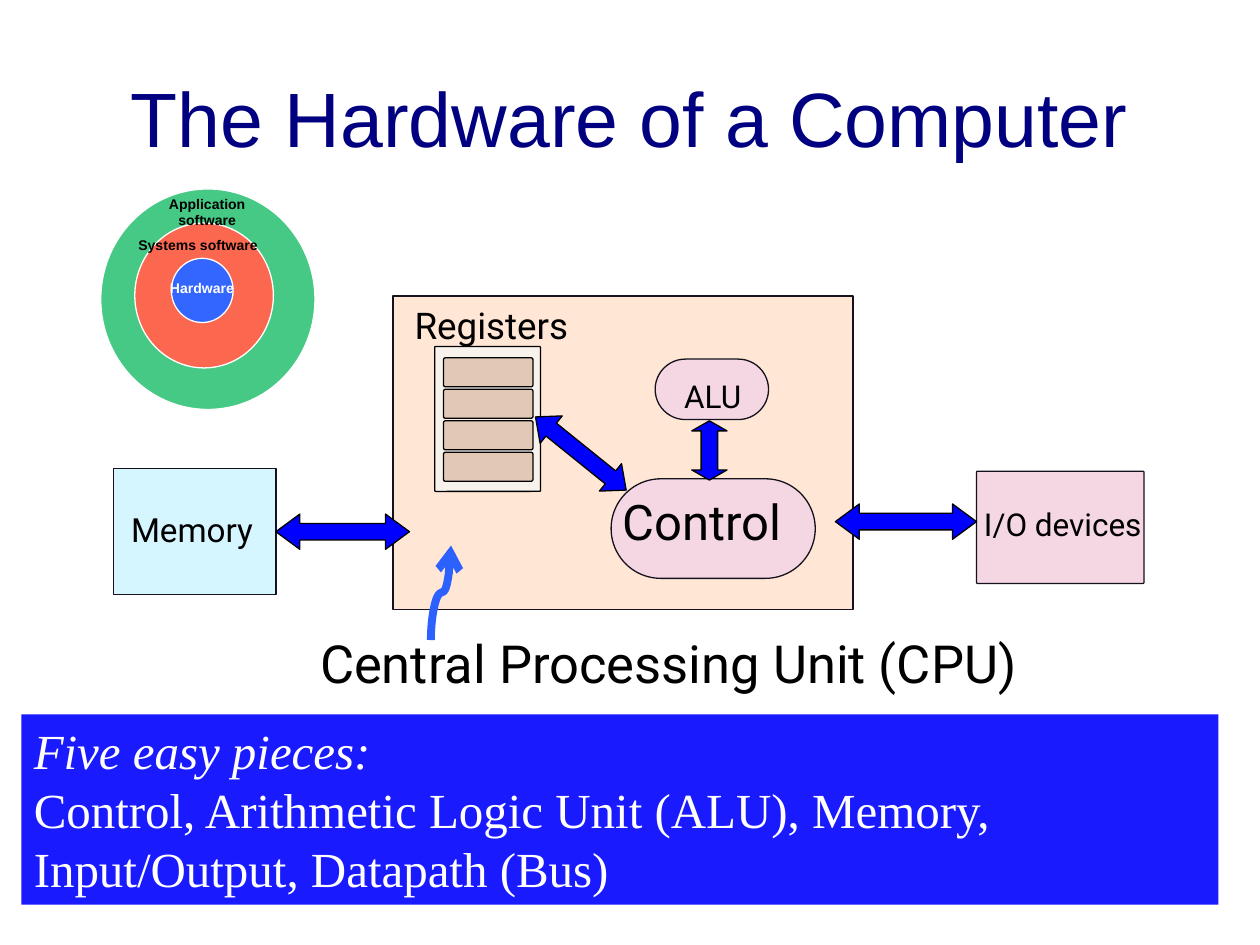
"""Build a slide showing the hardware of a computer as a block diagram."""
import math
from dataclasses import dataclass

from lxml import etree
from pptx import Presentation, util as u
from pptx.dml.color import RGBColor
from pptx.enum import shapes, text
from pptx.oxml import ns

SHAPE = shapes.MSO_SHAPE


@dataclass(frozen=True)
class Theme:
    """Colours, fonts and type sizes of the slide."""
    black: str = "000000"
    white: str = "FFFFFF"
    navy: str = "000080"
    outline: str = "15111D"
    cpu: str = "FFE6D5"
    unit: str = "F4D7E3"
    memory: str = "D5F6FF"
    bank: str = "F8F2ED"
    register: str = "E2C9B5"
    bus: str = "0000FF"
    application: str = "45C984"
    system: str = "FB684F"
    hardware: str = "3366FF"
    banner: str = "1A1AFF"
    pointer: str = "2D61FE"
    sans: str = "Arial"
    label: str = "Roboto"
    serif: str = "Times New Roman"
    title_size: int = 44
    cpu_size: int = 30
    large: int = 28
    registers_size: int = 21
    memory_size: int = 19
    medium: int = 18
    ring_size: int = 8


class Diagram:
    """Draws styled elements on the current slide."""

    def __init__(self, s, theme):
        """Keep the slide and the theme."""
        self.s = s
        self.theme = theme

    def font(self, p, size, name, color, bold=False, italic=False):
        """Format every run of a paragraph."""
        for r in p.runs:
            r.font.size = u.Pt(size)
            r.font.name = name
            r.font.color.rgb = RGBColor.from_string(color)
            r.font.bold = bold
            r.font.italic = italic

    def shape(self, kind, box, fill, line=None, width=0, radius=None):
        """Add a filled preset shape."""
        sp = self.s.shapes.add_shape(kind, *map(u.Inches, box))
        sp.shadow.inherit = False
        sp.fill.solid()
        sp.fill.fore_color.rgb = RGBColor.from_string(fill)
        if line:
            sp.line.color.rgb = RGBColor.from_string(line)
            sp.line.width = u.Pt(width)
        else:
            sp.line.fill.background()
        if radius is not None:
            sp.adjustments[0] = radius
        return sp

    def text(self, box, words, size, name, color, bold=False, inset=True,
             wrap=True, centre=False, middle=False):
        """Add a one-paragraph text box."""
        sp = self.s.shapes.add_textbox(*map(u.Inches, box))
        tf = sp.text_frame
        tf.word_wrap = wrap
        if not inset:
            tf.margin_left = tf.margin_right = tf.margin_top = tf.margin_bottom = 0
        if middle:
            tf.vertical_anchor = text.MSO_ANCHOR.MIDDLE
        tf.text = words
        p = tf.paragraphs[0]
        p.alignment = text.PP_ALIGN.CENTER if centre else text.PP_ALIGN.LEFT
        self.font(p, size, name, color, bold)

    def label(self, box, words, size, wrap=False):
        """Add a diagram label without insets."""
        t = self.theme
        self.text(box, words, size, t.label, t.black, inset=False, wrap=wrap)

    def bus(self, x1, y1, x2, y2, head=0.19):
        """Add a double-headed block arrow between two points."""
        length, thick = math.hypot(x2 - x1, y2 - y1), 0.28
        box = ((x1 + x2 - length) / 2, (y1 + y2 - thick) / 2, length, thick)
        sp = self.shape(SHAPE.LEFT_RIGHT_ARROW, box, self.theme.bus, self.theme.black)
        sp.adjustments[0] = 0.47
        sp.adjustments[1] = head / thick
        sp.rotation = math.degrees(math.atan2(y2 - y1, x2 - x1))

    def pointer(self, x1, y1, x2, y2):
        """Add a curved arrow that leaves and arrives vertically."""
        cx, cy = (x1 + x2) / 2, (y1 + y2) / 2
        dx, dy = (y1 - y2) / 2, (x2 - x1) / 2
        ends = (cx + dx, cy + dy, cx - dx, cy - dy)
        c = self.s.shapes.add_connector(shapes.MSO_CONNECTOR.CURVE, *map(u.Inches, ends))
        c.line.color.rgb = RGBColor.from_string(self.theme.pointer)
        c.line.width = u.Pt(4.5)
        pr = c._element.spPr
        pr.find(ns.qn("a:xfrm")).set("rot", str(90 * 60000))
        etree.SubElement(pr.find(ns.qn("a:ln")), ns.qn("a:tailEnd"), type="arrow")
        etree.SubElement(pr, ns.qn("a:effectLst"))

    def banner(self, box, heading, body):
        """Add the filled summary with an italic heading."""
        t = self.theme
        tf = self.shape(SHAPE.RECTANGLE, box, t.banner).text_frame
        tf.word_wrap = True
        tf.vertical_anchor = text.MSO_ANCHOR.TOP
        tf.text = heading
        tf.add_paragraph().text = body
        for p, italic in zip(tf.paragraphs, (True, False)):
            p.alignment = text.PP_ALIGN.LEFT
            self.font(p, t.large, t.serif, t.white, italic=italic)


def main():
    """Build and save the slide."""
    prs = Presentation()
    prs.slide_width, prs.slide_height = u.Inches(10), u.Inches(7.5)
    t = Theme()
    d = Diagram(prs.slides.add_slide(prs.slide_layouts[6]), t)

    d.text((0.5, 0.3, 9, 1.25), "The Hardware of a Computer", t.title_size,
           t.sans, t.navy, centre=True, middle=True)
    d.label((2.54, 5.01, 5.88, 0.51), "Central Processing Unit (CPU)", t.cpu_size, wrap=True)

    blocks = (
        (SHAPE.RECTANGLE, (3.12, 2.35, 3.65, 2.49), t.cpu, None),
        (SHAPE.ROUNDED_RECTANGLE, (4.85, 3.8, 1.62, 0.79), t.unit, 0.5),
        (SHAPE.ROUNDED_RECTANGLE, (7.75, 3.74, 1.33, 0.89), t.unit, 0.01),
        (SHAPE.RECTANGLE, (0.9, 3.72, 1.29, 1), t.memory, None),
        (SHAPE.ROUNDED_RECTANGLE, (5.2, 2.85, 0.9, 0.48), t.unit, 0.5),
    )
    for kind, box, fill, radius in blocks:
        d.shape(kind, box, fill, t.outline, radius=radius)

    d.shape(SHAPE.ROUNDED_RECTANGLE, (3.45, 2.75, 0.84, 1.15), t.bank, t.black, radius=0.01)
    for row in range(4):
        d.shape(SHAPE.ROUNDED_RECTANGLE, (3.52, 2.84 + 0.25 * row, 0.71, 0.23),
                t.register, t.black, radius=0.06)

    d.bus(6.63, 4.14, 7.75, 4.14)
    d.bus(2.19, 4.22, 3.25, 4.22)
    d.bus(5.63, 3.34, 5.63, 3.81, head=0.08)
    d.bus(4.25, 3.31, 4.97, 3.89, head=0.16)

    d.label((7.81, 4.01, 1.44, 0.35), "I/O devices", t.medium)
    d.label((1.04, 4.04, 1.15, 0.37), "Memory", t.memory_size)
    d.label((4.94, 3.9, 1.43, 0.52), "Control", t.large)
    d.label((5.43, 2.99, 0.6, 0.34), "ALU", t.medium)
    d.label((3.29, 2.4, 1.36, 0.39), "Registers", t.registers_size)

    rings = (
        ((0.8, 1.5, 1.7, 1.75), t.application),
        ((1.07, 1.77, 1.1, 1.15), t.system),
        ((1.36, 2.05, 0.49, 0.51), t.hardware),
    )
    for box, fill in rings:
        d.shape(SHAPE.OVAL, box, fill, t.white, width=0.75)
    ring_labels = (
        ((1.08, 1.5, 1.13, 0.37), "Application software", t.black, True),
        ((1.25, 2.17, 0.78, 0.24), "Hardware", t.white, False),
        ((1, 1.83, 1.24, 0.24), "Systems software", t.black, False),
    )
    for box, words, color, centre in ring_labels:
        d.text(box, words, t.ring_size, t.sans, color, bold=True, centre=centre)

    d.banner((0.17, 5.67, 9.5, 1.51), "Five easy pieces:",
             "Control, Arithmetic Logic Unit (ALU), Memory, Input/Output, Datapath (Bus)")
    d.pointer(3.42, 5.08, 3.58, 4.33)
    prs.save("out.pptx")


if __name__ == "__main__":
    main()
